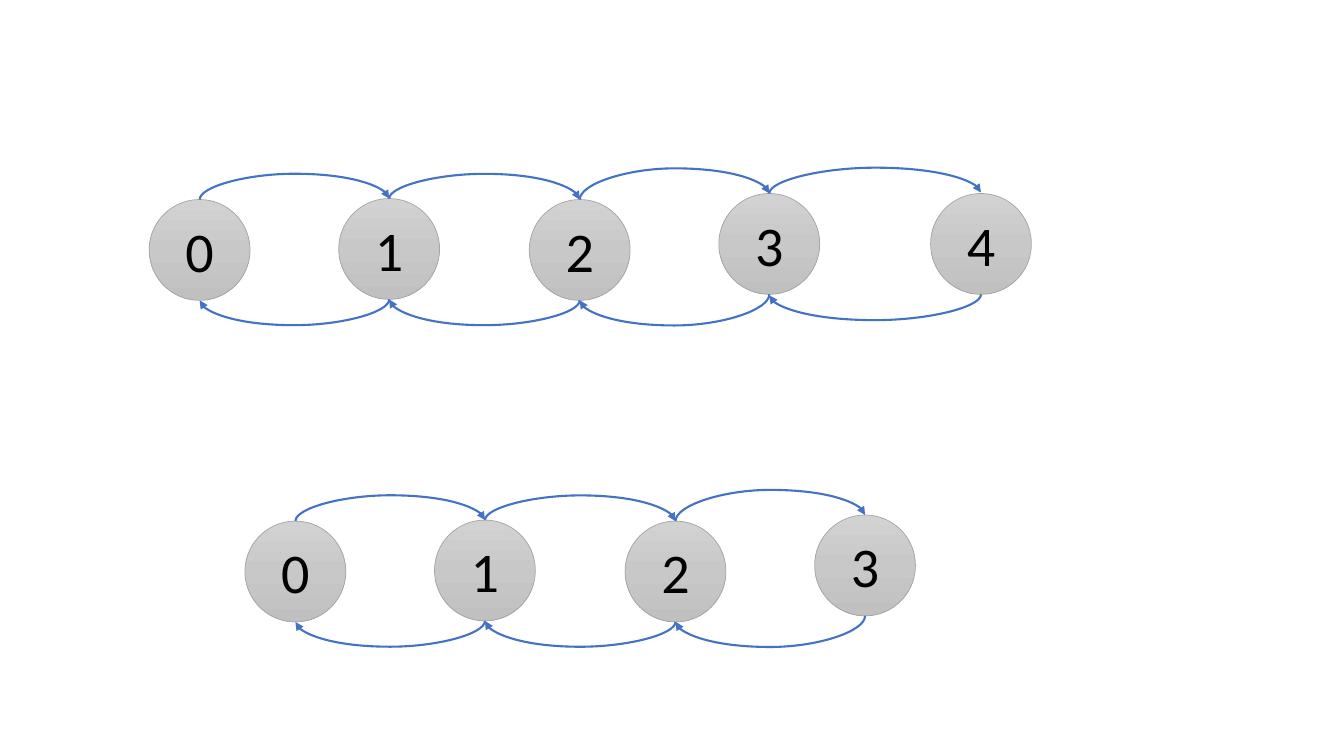
from copy import deepcopy
from itertools import pairwise

from lxml.etree import SubElement
from pptx import Presentation
from pptx.dml.color import RGBColor
from pptx.enum.shapes import MSO_CONNECTOR, MSO_SHAPE
from pptx.enum.text import MSO_ANCHOR, PP_ALIGN
from pptx.oxml.ns import qn
from pptx.util import Inches, Pt

NODE_SIZE = 1
ARC_REACH = 0.25
MIN_DROP = 0.01
NODE_OFFSETS = [(0, 0.01), (1.88, 0), (3.77, 0.01), (5.65, -0.05), (7.75, -0.05)]
NODE_STOPS = [(0, "D2D2D2"), (0.5, "C8C8C8"), (1, "C0C0C0")]


def rgb(value):
    """Return the colour for a hex string."""
    return RGBColor.from_string(value)


def add_node(group, left, top, label):
    """Draw one numbered state circle."""
    sp = group.shapes.add_shape(MSO_SHAPE.OVAL, Inches(left), Inches(top),
                                Inches(NODE_SIZE), Inches(NODE_SIZE))
    sp.shadow.inherit = False
    sp.fill.gradient()
    sp.fill.gradient_angle = 270
    stops = sp._element.spPr.find(".//" + qn("a:gsLst"))
    stops.insert(1, deepcopy(stops[0]))
    for stop, (position, color) in zip(sp.fill.gradient_stops, NODE_STOPS):
        stop.position = position
        stop.color.rgb = rgb(color)
    sp.line.color.rgb = rgb("A5A5A5")
    sp.line.width = Pt(0.5)
    tf = sp.text_frame
    tf.vertical_anchor = MSO_ANCHOR.MIDDLE
    p = tf.paragraphs[0]
    p.text = label
    p.alignment = PP_ALIGN.CENTER
    p.font.name = "Calibri"
    p.font.size = Pt(40)
    p.font.color.rgb = rgb("000000")


def add_arc(group, start, end, side):
    """Draw a curved arrow bulging up (side -1) or down (side 1)."""
    (x1, y1), (x2, y2) = start, end
    drop = y2 - y1 or side * MIN_DROP
    y2 = y1 + drop
    peak = side * (max(side * y1, side * y2) + ARC_REACH)
    width, height = abs(drop), abs(x2 - x1)
    left, top = (x1 + x2 - width) / 2, (y1 + y2 - height) / 2
    arc = group.shapes.add_connector(MSO_CONNECTOR.CURVE, Inches(left), Inches(top),
                                     Inches(left + width), Inches(top + height))
    arc.line.color.rgb = rgb("4472C4")
    arc.line.width = Pt(1.5)
    spPr = arc._element.spPr
    xfrm = spPr.find(qn("a:xfrm"))
    xfrm.set("rot", str(90 * 60000))
    xfrm.set("flipH", str(int(drop < 0)))
    xfrm.set("flipV", str(int(x2 > x1)))
    bend = round((peak - y1) / drop * 100000)
    SubElement(spPr.find(".//" + qn("a:avLst")), qn("a:gd"), name="adj1", fmla=f"val {bend}")
    SubElement(spPr.find(qn("a:ln")), qn("a:tailEnd"), type="triangle")
    SubElement(spPr, qn("a:effectLst"))


def add_chain(s, left, top, count):
    """Draw a row of states linked forwards above and backwards below."""
    group = s.shapes.add_group_shape()
    corners = [(left + dx, top + dy) for dx, dy in NODE_OFFSETS[:count]]
    for number, (x, y) in enumerate(corners):
        add_node(group, x, y, str(number))
    tops = [(x + NODE_SIZE / 2, y) for x, y in corners]
    bottoms = [(x, y + NODE_SIZE) for x, y in tops]
    for start, end in pairwise(tops):
        add_arc(group, start, end, -1)
    for end, start in pairwise(bottoms):
        add_arc(group, start, end, 1)


def main():
    """Build the slide with both chains."""
    prs = Presentation()
    prs.slide_width, prs.slide_height = Inches(13.33), Inches(7.5)
    s = prs.slides.add_slide(prs.slide_layouts[6])
    add_chain(s, 1.48, 1.97, 5)
    add_chain(s, 2.43, 5.16, 4)
    prs.save("out.pptx")


if __name__ == "__main__":
    main()
